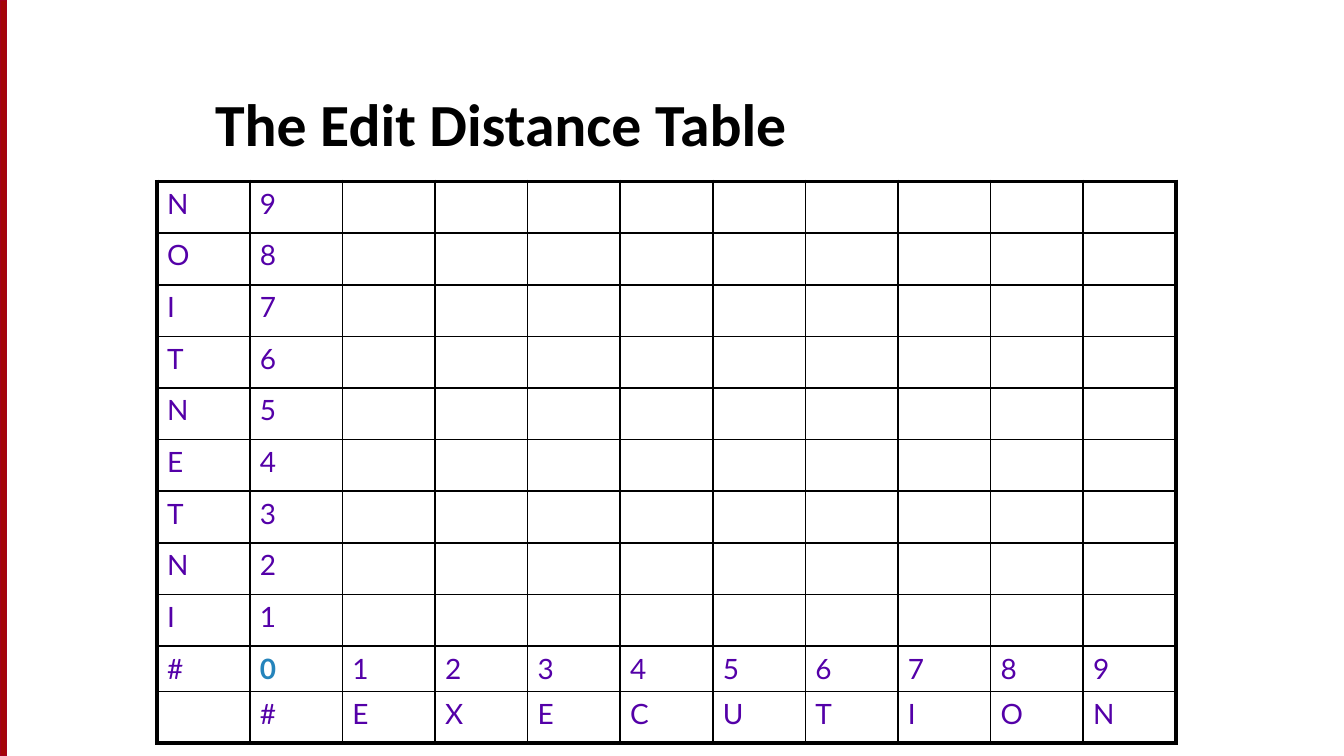
from lxml.etree import SubElement
from pptx import Presentation
from pptx.dml.color import RGBColor
from pptx.enum.shapes import MSO_SHAPE
from pptx.enum.text import MSO_ANCHOR, MSO_AUTO_SIZE, PP_ALIGN
from pptx.oxml.ns import qn
from pptx.util import Cm, Pt


def color(value):
    return RGBColor.from_string(value)


class SlideBuilder:
    """Hold the style and the current slide, and add each kind of element."""

    black = "000000"
    purple = "5400A8"
    blue = "2584BB"
    thin_line = 0.96
    thick_line = 2.21

    def __init__(self, slide):
        self.slide = slide

    def bar(self, left, top, width, height):
        shape = self.slide.shapes.add_shape(
            MSO_SHAPE.RECTANGLE, Cm(left), Cm(top), Cm(width), Cm(height))
        shape.shadow.inherit = False
        shape.fill.solid()
        shape.fill.fore_color.rgb = color("A40508")
        shape.line.color.rgb = color("A4001D")
        shape.line.width = Pt(0.75)

    def title(self, text, left, top, width, height):
        title = self.slide.shapes.title
        title.left, title.top = Cm(left), Cm(top)
        title.width, title.height = Cm(width), Cm(height)
        frame = title.text_frame
        frame.text = text
        frame.auto_size = MSO_AUTO_SIZE.NONE
        frame.vertical_anchor = MSO_ANCHOR.BOTTOM
        paragraph = frame.paragraphs[0]
        paragraph.alignment = PP_ALIGN.LEFT
        self.format_font(paragraph.font, "Calibri", 32, self.black, True)

    def format_font(self, font, name, size, font_color, bold=False):
        font.name = name
        font.size = Pt(size)
        font.bold = bold
        font.color.rgb = color(font_color)

    def table(self, rows, left, top, width, height):
        table = self.slide.shapes.add_table(
            len(rows), len(rows[0]), Cm(left), Cm(top), Cm(width), Cm(height)).table
        table.first_row = False
        table.horz_banding = False
        last_row, last_column = len(rows) - 1, len(rows[0]) - 1
        for row, texts in enumerate(rows):
            for column, text in enumerate(texts):
                cell = table.cell(row, column)
                outer_sides = {"L": column == 0, "R": column == last_column,
                               "T": row == 0, "B": row == last_row}
                self.cell_borders(cell, outer_sides)
                self.cell_text(cell, text)

    def cell_borders(self, cell, outer_sides):
        properties = cell._tc.get_or_add_tcPr()
        for side, outer in outer_sides.items():
            width = self.thick_line if outer else self.thin_line
            line = SubElement(properties, qn(f"a:ln{side}"), w=str(Pt(width)))
            fill = SubElement(line, qn("a:solidFill"))
            SubElement(fill, qn("a:srgbClr"), val=self.black)

    def cell_text(self, cell, text):
        cell.fill.background()
        cell.margin_left = cell.margin_right = Cm(0.19)
        cell.margin_top = cell.margin_bottom = Cm(0.1)
        if text:
            cell.text = text
            paragraph = cell.text_frame.paragraphs[0]
            paragraph.space_before = Pt(3)
            origin = text == "0"
            self.format_font(paragraph.font, "Lato", 15,
                             self.blue if origin else self.purple, origin)


def edit_distance_rows(source, target):
    rows = [[letter, str(distance)] + [""] * len(target)
            for distance, letter in enumerate(source, 1)]
    rows.reverse()
    rows.append(["#"] + [str(distance) for distance in range(len(target) + 1)])
    rows.append(["", "#", *target])
    return rows


def main():
    presentation = Presentation()
    presentation.slide_width = Cm(25.4)
    presentation.slide_height = Cm(14.29)
    slide = presentation.slides.add_slide(presentation.slide_layouts[5])
    builder = SlideBuilder(slide)
    builder.bar(0, 0, 0.13, 14.29)
    builder.table(edit_distance_rows("INTENTION", "EXECUTION"), 2.97, 3.43, 19.25, 9.42)
    builder.title("The Edit Distance Table", 3.81, 1.07, 20.75, 2.06)
    presentation.save("out.pptx")


if __name__ == "__main__":
    main()
